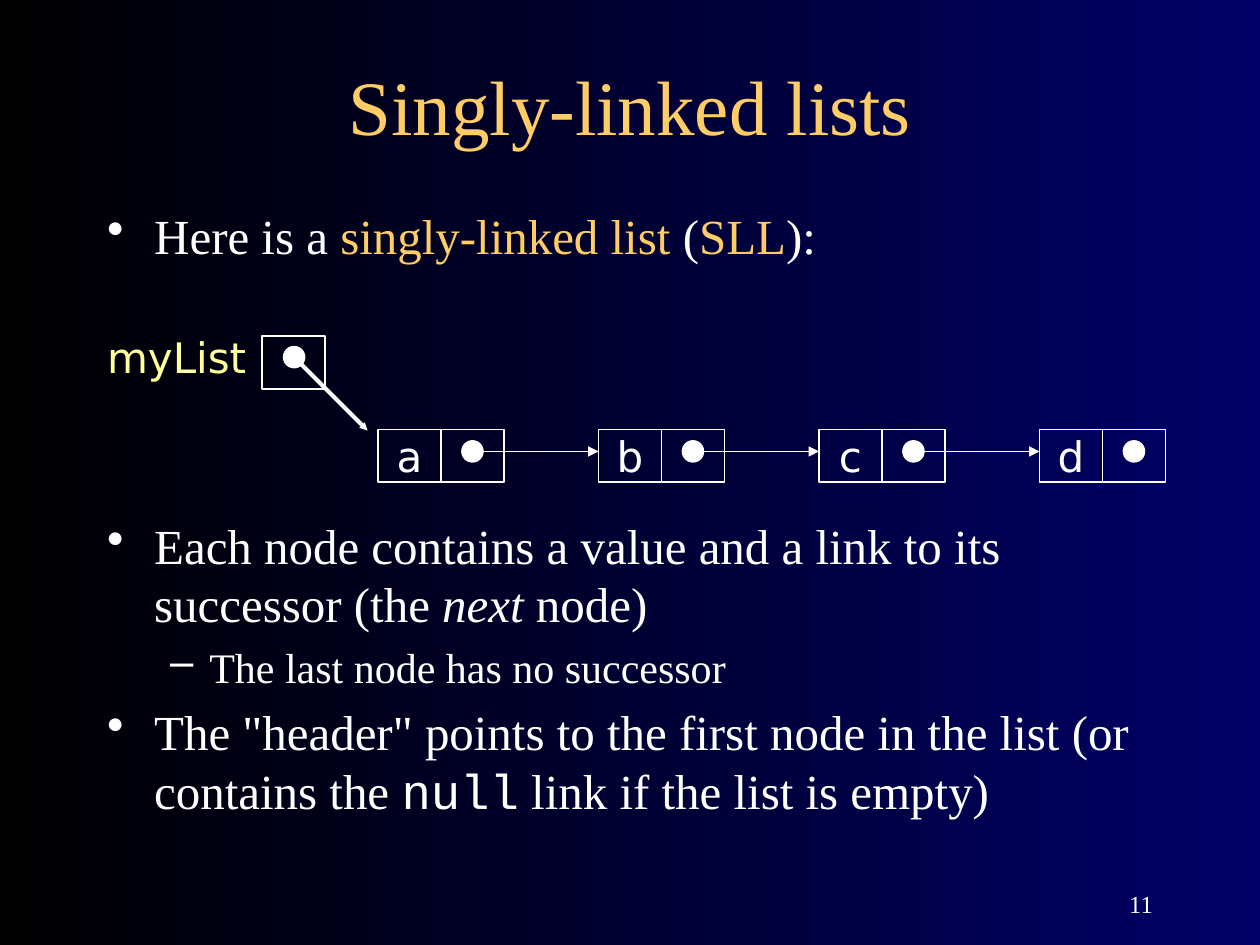
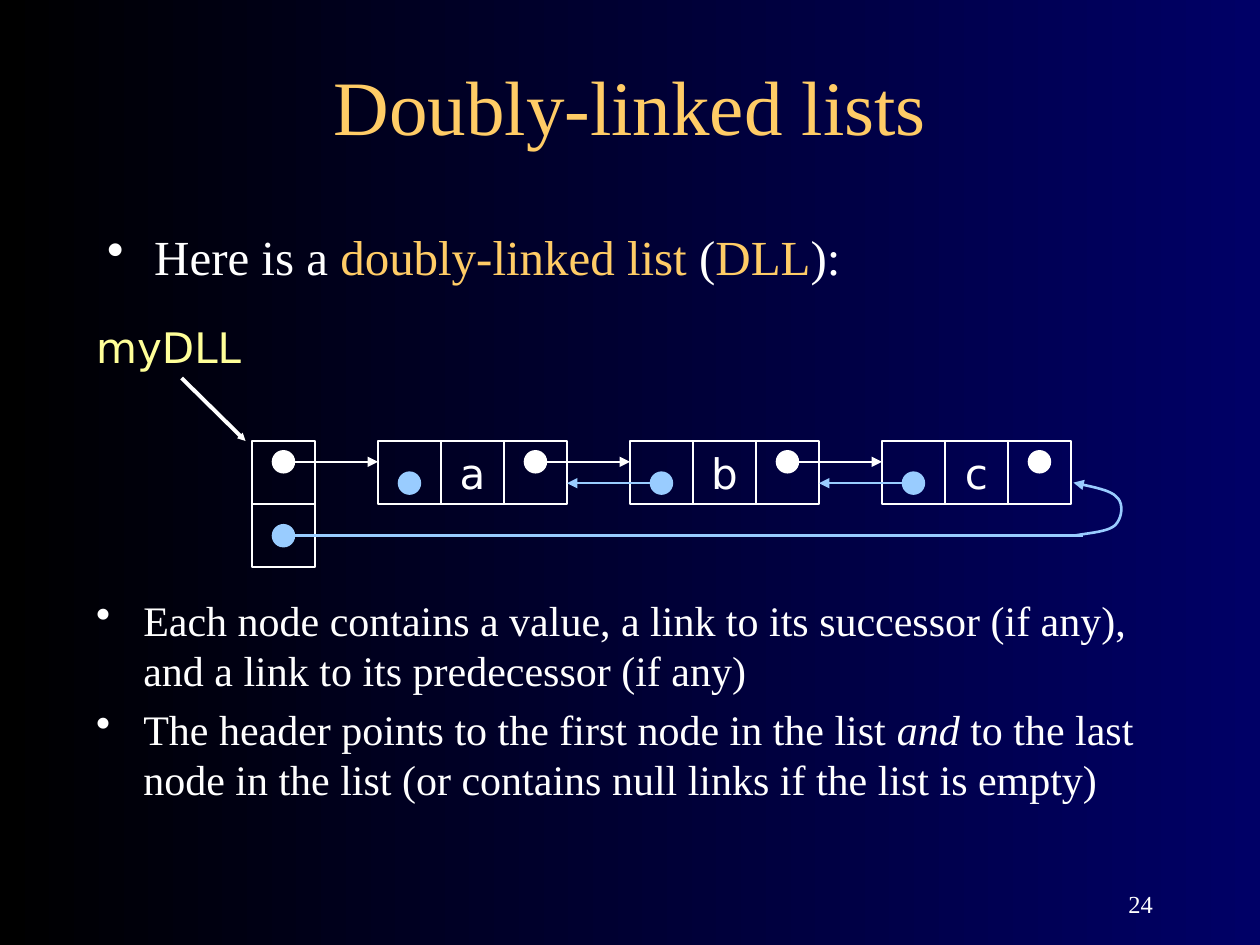
from lxml import etree
from pptx import Presentation
from pptx import util as u
from pptx.dml.color import RGBColor
from pptx.enum import shapes, text
from pptx.oxml.ns import qn

WHITE, GOLD, YELLOW, BLUE = "FFFFFF", "FFCC66", "FFFF99", "99CCFF"
SERIF, SANS, MONO = "Times New Roman", "DejaVu Sans", "Courier New"
STYLES = {  # font, colour, italic
    "plain": (SERIF, WHITE, False),
    "term": (SERIF, GOLD, False),
    "italic": (SERIF, WHITE, True),
    "code": (MONO, WHITE, False),
    "label": (SANS, YELLOW, False),
    "value": (SANS, WHITE, False),
}
INDENTS = {"•": (0.95, -0.95), "–": (2.06, -0.79)}  # left margin, first line
CELL = 1.27
DOT = 0.42


def write(frame, paras, align=text.PP_ALIGN.LEFT, anchor=text.MSO_ANCHOR.TOP, wrap=True):
    """Fill a text frame with (size, bullet, runs) paragraphs."""
    frame.word_wrap = wrap
    frame.vertical_anchor = anchor
    for number, (size, bullet, runs) in enumerate(paras):
        para = frame.add_paragraph() if number else frame.paragraphs[0]
        para.alignment = align
        if bullet:
            para.space_before = u.Pt(size * 0.2)
            margin, first = INDENTS[bullet]
            props = para._p.get_or_add_pPr()
            props.set("marL", str(u.Cm(margin)))
            props.set("indent", str(u.Cm(first)))
            etree.SubElement(props, qn("a:buChar")).set("char", bullet)
        for words, style in runs:
            span = para.add_run()
            span.text = words
            font, colour, italic = STYLES[style]
            span.font.name, span.font.size, span.font.italic = font, u.Pt(size), italic
            span.font.color.rgb = RGBColor.from_string(colour)


def outline(shape, colour, weight, arrow=False):
    """Set a plain line without shadow, with an arrowhead at its end if asked."""
    shape.line.color.rgb = RGBColor.from_string(colour)
    shape.line.width = u.Pt(weight)
    props = shape.element.spPr
    if arrow:
        size = "sm" if weight > 2 else "med"
        etree.SubElement(props.find(qn("a:ln")), qn("a:tailEnd"),
                         type="triangle", w=size, len=size)
    etree.SubElement(props, qn("a:effectLst"))


# Singly-linked list: header cell, then nodes of a value and a link
single_cells = [(5.29, 6.78, 1.06, "")]
single_dots = [(5.93, 7.2, WHITE)]
single_lines = [(5.93, 7.2, 7.41, 8.68, WHITE, 2.25, True)]
for index, value in enumerate("abcd"):
    left = 6 * CELL + index * 3.5 * CELL
    link = left + 1.5 * CELL
    single_cells += [(left, 8.66, 1.06, value), (left + CELL, 8.66, 1.06, "")]
    single_dots.append((link, 9.1, WHITE))
    if value != "d":
        single_lines.append((link, 9.1, link + 2 * CELL, 9.1, WHITE, 1, True))

# Doubly-linked list: two header cells, then nodes of back link, value and link
TOP, NEXT, BACK, LAST = 7 * CELL, 9.31, 9.74, 10.8
head = 4.5 * CELL
double_cells = [(4 * CELL, TOP, CELL, ""), (4 * CELL, TOP + CELL, CELL, "")]
double_dots = [(head, NEXT, WHITE), (head, LAST, BLUE)]
double_lines = [
    (3.66, 7.62, 4.95, 8.89, WHITE, 2.25, True),
    (head, NEXT, head + 1.5 * CELL, NEXT, WHITE, 1.5, True),
    (head, LAST, 21.84, LAST, BLUE, 1.5, False),
]
for index, value in enumerate("abc"):
    left = 6 * CELL + index * 4 * CELL
    back, link = left + 0.5 * CELL, left + 2.5 * CELL
    for column, content in enumerate(["", value, ""]):
        double_cells.append((left + column * CELL, TOP, CELL, content))
    double_dots += [(back, BACK, BLUE), (link, NEXT, WHITE)]
    if value != "c":
        double_lines.append((link, NEXT, link + 1.5 * CELL, NEXT, WHITE, 1.5, True))
    if value != "a":
        double_lines.append((back, BACK, back - 1.5 * CELL, BACK, BLUE, 1.5, True))

pages = [
    {
        "title": "Singly-linked lists", "number": "11", "weight": 1,
        "cells": single_cells, "dots": single_dots, "lines": single_lines,
        "texts": [
            (1.91, 4.02, 21.59, 1.93, [
                (28, "•", [("Here is a ", "plain"), ("singly-linked list", "term"),
                           (" (", "plain"), ("SLL", "term"), ("):", "plain")])]),
            (1.91, 10.26, 21.59, 6.68, [
                (28, "•", [("Each node contains a value and a link to its successor (the ",
                            "plain"), ("next ", "italic"), ("node)", "plain")]),
                (24, "–", [("The last node has no successor", "plain")]),
                (28, "•", [("The \"header\" points to the first node in the list "
                            "(or contains the ", "plain"), ("null", "code"),
                           (" link if the list is empty)", "plain")])]),
            (1.91, 6.56, 3.6, 1.27, [(24, None, [("myList", "label")])]),
        ],
    },
    {
        "title": "Doubly-linked lists", "number": "24", "weight": 1.5,
        "cells": double_cells, "dots": double_dots, "lines": double_lines,
        "texts": [
            (1.91, 4.45, 21.59, 1.91, [
                (28, "•", [("Here is a ", "plain"), ("doubly-linked list", "term"),
                           (" (", "plain"), ("DLL", "term"), ("):", "plain")])]),
            (1.69, 11.85, 21.59, 6.56, [
                (24, "•", [("Each node contains a value, a link to its successor (if any), "
                            "and a link to its predecessor (if any)", "plain")]),
                (24, "•", [("The header points to the first node in the list ", "plain"),
                           ("and", "italic"),
                           (" to the last node in the list (or contains null links "
                            "if the list is empty)", "plain")])]),
            (1.69, 6.35, 3.6, 1.27, [(24, None, [("myDLL", "label")])]),
        ],
    },
]

deck = Presentation()
deck.slide_width, deck.slide_height = u.Cm(25.4), u.Cm(19.05)
backdrop = deck.slide_master.background.fill
backdrop.gradient()
backdrop.gradient_angle = 0
for stop, colour in zip(backdrop.gradient_stops, ["000000", "000066"]):
    stop.color.rgb = RGBColor.from_string(colour)

for plan in pages:
    page = deck.slides.add_slide(deck.slide_layouts[5])
    title = page.shapes.title
    title.left, title.top, title.width, title.height = map(u.Cm, (1.91, 1.06, 21.59, 2.12))
    write(title.text_frame, [(44, None, [(plan["title"], "term")])],
          text.PP_ALIGN.CENTER, text.MSO_ANCHOR.MIDDLE)
    number = page.shapes.add_textbox(*map(u.Cm, (18.2, 17.36, 5.29, 1.27)))
    write(number.text_frame, [(14, None, [(plan["number"], "plain")])],
          text.PP_ALIGN.RIGHT, text.MSO_ANCHOR.BOTTOM)
    for *place, paras in plan["texts"]:
        box = page.shapes.add_textbox(*map(u.Cm, place))
        write(box.text_frame, paras)

    for left, top, height, value in plan["cells"]:
        cell = page.shapes.add_shape(shapes.MSO_SHAPE.RECTANGLE,
                                     *map(u.Cm, (left, top, CELL, height)))
        cell.fill.background()
        outline(cell, WHITE, plan["weight"])
        if value:
            write(cell.text_frame, [(24, None, [(value, "value")])],
                  text.PP_ALIGN.CENTER, text.MSO_ANCHOR.MIDDLE, wrap=False)
    for x, y, colour in plan["dots"]:
        dot = page.shapes.add_shape(shapes.MSO_SHAPE.OVAL,
                                    *map(u.Cm, (x - DOT / 2, y - DOT / 2, DOT, DOT)))
        dot.fill.solid()
        dot.fill.fore_color.rgb = RGBColor.from_string(colour)
        outline(dot, colour, plan["weight"])
    for *ends, colour, weight, arrow in plan["lines"]:
        line = page.shapes.add_connector(shapes.MSO_CONNECTOR.STRAIGHT, *map(u.Cm, ends))
        outline(line, colour, weight, arrow)

# Curve from the header's last-node link up to the last node, as cubic arcs
knots = [(21.64, 10.8), (22, 10.74), (22.33, 10.72), (22.48, 10.59), (22.63, 10.44),
         (22.66, 10.13), (22.5, 10.01), (22.38, 9.86), (21.82, 9.78), (21.64, 9.73)]
STEPS = 10
points = []
for start in range(0, len(knots) - 1, 3):
    for step in range(1, STEPS + 1):
        t = step / STEPS
        weights = ((1 - t) ** 3, 3 * t * (1 - t) ** 2, 3 * t ** 2 * (1 - t), t ** 3)
        arc = knots[start:start + 4]
        points.append(tuple(u.Cm(sum(w * knot[axis] for w, knot in zip(weights, arc)))
                            for axis in (0, 1)))
builder = page.shapes.build_freeform(*map(u.Cm, knots[0]))
builder.add_line_segments(points, close=False)
curve = builder.convert_to_shape()
curve.fill.background()
outline(curve, BLUE, 1.5, arrow=True)

deck.save("out.pptx")
